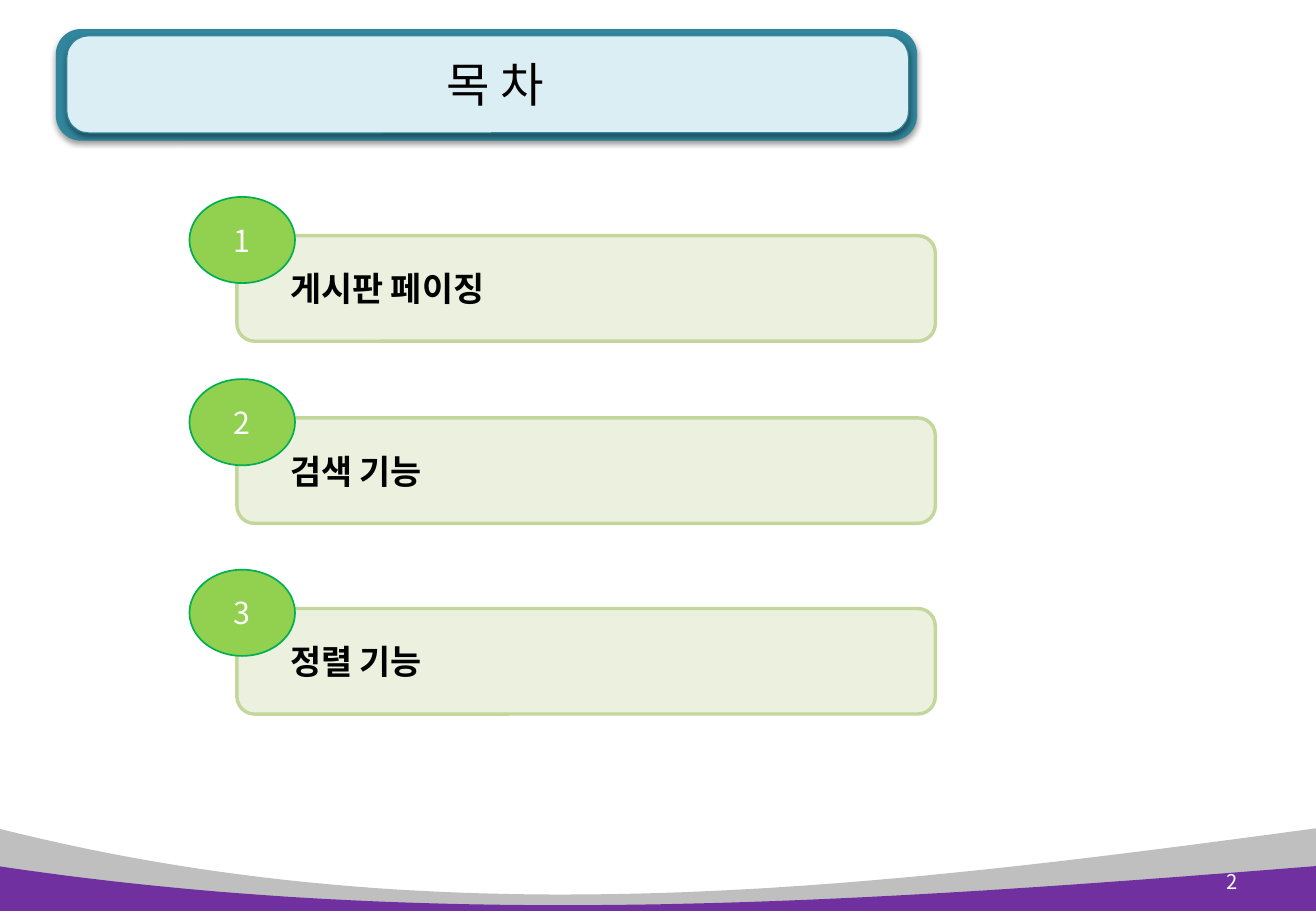
from lxml import etree
from pptx import Presentation
from pptx.dml.color import RGBColor
from pptx.enum import shapes, text
from pptx.oxml import ns
from pptx.util import Pt

FONT = "Noto Sans CJK KR"
TOPICS = [("1", "게시판 페이징", 139.7), ("2", "검색 기능", 247.7), ("3", "정렬 기능", 360.7)]
CURVE_STEPS = 60


def paint(color_format, value):
    """Set a fill or font colour from a hex string."""
    color_format.rgb = RGBColor.from_string(value)


def style(shape, fill, line=None, width=0.0):
    """Give a shape a flat fill and an optional outline."""
    shape.shadow.inherit = False
    shape.fill.solid()
    paint(shape.fill.fore_color, fill)
    if line:
        paint(shape.line.color, line)
        shape.line.width = Pt(width)
    else:
        shape.line.fill.background()


def add_preset(page, kind, bounds, fill, line=None, width=0.0):
    """Add a styled preset shape; bounds are left, top, width, height."""
    shape = page.shapes.add_shape(kind, *map(Pt, bounds))
    style(shape, fill, line, width)
    return shape


def add_soft_shadow(shape):
    """Put a faint shadow below a shape."""
    effects = shape.element.spPr.find(ns.qn("a:effectLst"))
    shadow = etree.SubElement(effects, ns.qn("a:outerShdw"), blurRad=str(Pt(3.1)),
                              dist=str(Pt(1.6)), dir="5400000", rotWithShape="0")
    color = etree.SubElement(shadow, ns.qn("a:srgbClr"), val="000000")
    etree.SubElement(color, ns.qn("a:alpha"), val="38000")


def write(shape, words, size, color, align, bold=False):
    """Write one vertically centred run into a shape."""
    frame = shape.text_frame
    frame.word_wrap = True
    frame.auto_size = text.MSO_AUTO_SIZE.NONE
    frame.vertical_anchor = text.MSO_ANCHOR.MIDDLE
    para = frame.paragraphs[0]
    para.alignment = align
    span = para.add_run()
    span.text = words
    span.font.size = Pt(size)
    span.font.bold = bold
    paint(span.font.color, color)
    span.font.name = FONT
    latin = span.font._element.find(ns.qn("a:latin"))
    latin.addnext(latin.makeelement(ns.qn("a:ea"), {"typeface": FONT}))


def add_wave(page, edge, first_dip, second_dip, bottom, fill):
    """Add a band whose upper edge is a cubic curve across the page."""
    controls = [(-1.4, edge), (262.8, first_dip), (518.4, second_dip), (780, edge)]
    points = []
    for step in range(CURVE_STEPS + 1):
        t = step / CURVE_STEPS
        weights = ((1 - t) ** 3, 3 * t * (1 - t) ** 2, 3 * t ** 2 * (1 - t), t ** 3)
        points.append(tuple(Pt(sum(w * c[axis] for w, c in zip(weights, controls)))
                            for axis in (0, 1)))
    points += [(Pt(780), Pt(bottom)), (Pt(-1.4), Pt(bottom))]
    builder = page.shapes.build_freeform(*points[0], scale=1.0)
    builder.add_line_segments(points[1:], close=True)
    style(builder.convert_to_shape(), fill)


def add_title(page, words):
    """Add the framed title, with its placeholder above the panels."""
    rounded = shapes.MSO_SHAPE.ROUNDED_RECTANGLE
    panels = [
        add_preset(page, rounded, (33.1, 17.2, 510.5, 66.2), "31859C"),
        add_preset(page, rounded, (39.6, 21.2, 499, 57.6), "DBEEF4", "31859C", 0.75),
    ]
    for panel in panels:
        panel.adjustments[0] = 0.225
        add_soft_shadow(panel)
    title = page.shapes.title
    title.left, title.top, title.width, title.height = map(Pt, (49.7, 15.8, 488.2, 67.7))
    write(title, words, 28, "000000", text.PP_ALIGN.CENTER)
    title.element.getparent().append(title.element)


def add_topic(page, number, words, top):
    """Add a topic card with its number badge on the corner."""
    card = add_preset(page, shapes.MSO_SHAPE.ROUNDED_RECTANGLE,
                      (140.4, top, 414, 62.6), "EBF1DE", "C3D69B", 2)
    card.text_frame.margin_left = Pt(28.5)
    write(card, words, 20, "000000", text.PP_ALIGN.LEFT, bold=True)
    badge = add_preset(page, shapes.MSO_SHAPE.OVAL,
                       (112.3, top - 23, 62.6, 51.1), "92D050", "00B050", 1)
    write(badge, number, 18, "FFFFFF", text.PP_ALIGN.CENTER)


def add_page_number(page, number):
    """Add the page number at the lower right."""
    box = page.shapes.add_textbox(*map(Pt, (697, 508.3, 43.9, 28.8)))
    write(box, number, 12, "FFFFFF", text.PP_ALIGN.RIGHT)


def main():
    """Build the contents slide."""
    deck = Presentation()
    deck.slide_width, deck.slide_height = Pt(780), Pt(540)
    page = deck.slides.add_slide(deck.slide_layouts[5])
    add_wave(page, 491, 558, 526.3, 540, "BFBFBF")
    add_wave(page, 513.4, 553, 534.2, 542.2, "7030A0")
    add_title(page, "목 차")
    add_page_number(page, "2")
    for number, words, top in TOPICS:
        add_topic(page, number, words, top)
    deck.save("out.pptx")


main()
